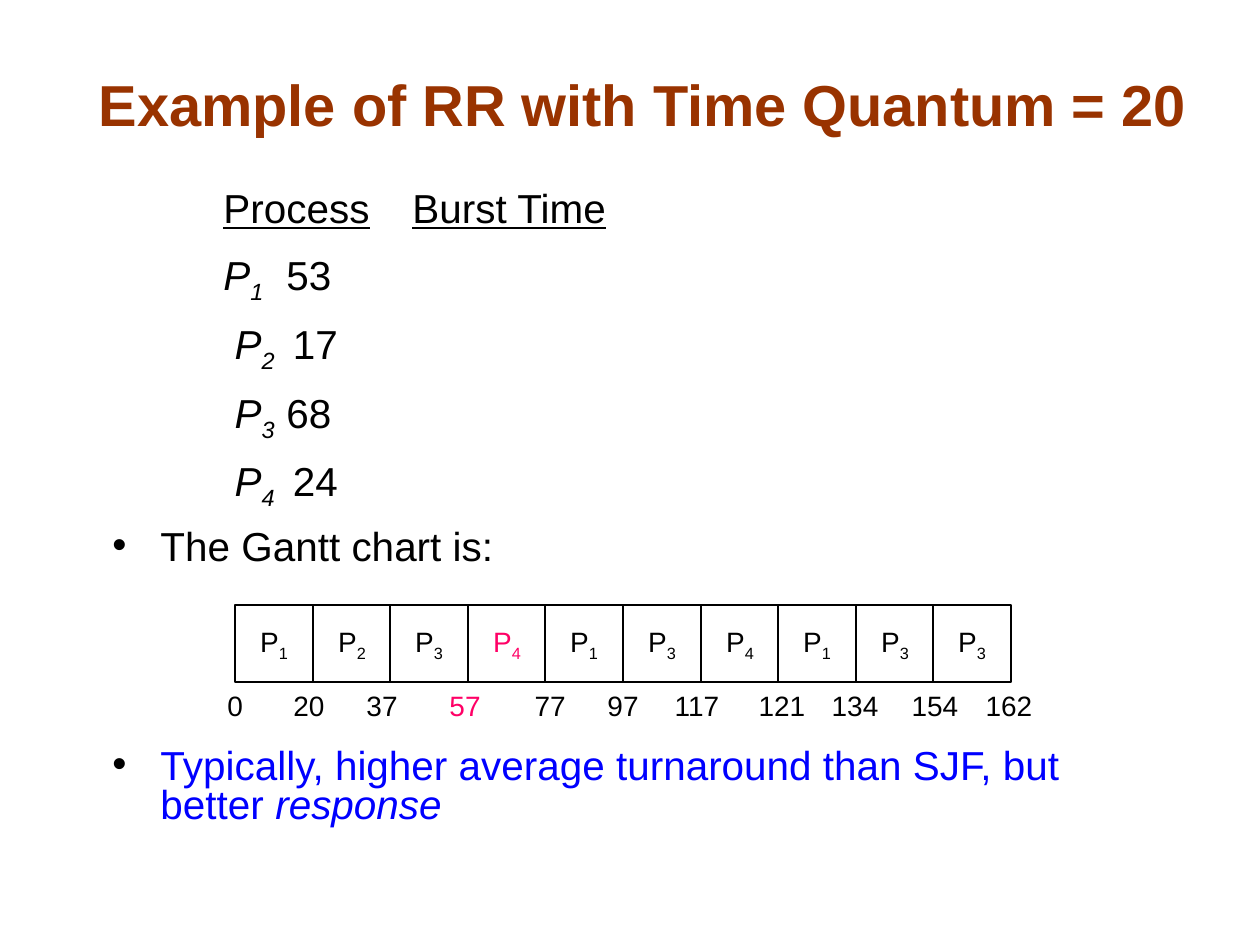
"""Build the round-robin scheduling slide with its burst times and Gantt chart."""

from dataclasses import dataclass

import lxml.etree
import pptx
import pptx.dml.color
import pptx.enum.shapes
import pptx.enum.text
import pptx.oxml.ns
import pptx.util

PX = 914400 // 126


@dataclass(frozen=True)
class Theme:
    font: str = "Arial"
    title: str = "993300"
    ink: str = "000000"
    paper: str = "FFFFFF"
    accent: str = "FF0066"
    remark: str = "0000FF"
    title_size: float = 33
    body_size: float = 23.1
    chart_size: float = 16
    border: float = 0.75


THEME = Theme()


@dataclass(frozen=True)
class Piece:
    text: str
    color: str = THEME.ink
    bold: bool = False
    italic: bool = False
    underline: bool = False
    subscript: bool = False


@dataclass(frozen=True)
class Line:
    pieces: tuple[Piece, ...]
    space_before: int = 14
    bullet: bool = False


@dataclass(frozen=True)
class Burst:
    lead: str
    process: str
    gap: str
    time: str


@dataclass(frozen=True)
class Slice:
    process: str
    color: str = THEME.ink


@dataclass(frozen=True)
class Tick:
    time: str
    center: int
    color: str = THEME.ink


BURSTS = (
    Burst("\t\t", "1", "\t", "53"),
    Burst("\t\t ", "2", "\t ", "17"),
    Burst("\t\t ", "3", "\t", "68"),
    Burst("\t\t ", "4", "\t ", "24"),
)
SLICES = (
    Slice("1"), Slice("2"), Slice("3"), Slice("4", THEME.accent), Slice("1"),
    Slice("3"), Slice("4"), Slice("1"), Slice("3"), Slice("3"),
)
TICKS = (
    Tick("0", 235), Tick("20", 309), Tick("37", 382), Tick("57", 465, THEME.accent),
    Tick("77", 550), Tick("97", 623), Tick("117", 697), Tick("121", 782),
    Tick("134", 855), Tick("154", 935), Tick("162", 1009),
)
HEADER = Line((
    Piece("\t\t"), Piece("Process", underline=True),
    Piece("\t"), Piece("Burst Time", underline=True),
), space_before=0)
CHART_INTRO = Line((Piece("The Gantt chart is:"),), bullet=True)
REMARK = Line((
    Piece("Typically, higher average turnaround than SJF, but better ", THEME.remark),
    Piece("response", THEME.remark, italic=True),
), space_before=103, bullet=True)


def rgb(color: str) -> pptx.dml.color.RGBColor:
    return pptx.dml.color.RGBColor.from_string(color)


def px(*lengths: int) -> list[pptx.util.Emu]:
    return [pptx.util.Emu(length * PX) for length in lengths]


def add_pieces(paragraph, pieces: tuple[Piece, ...], size: float) -> None:
    for piece in pieces:
        run = paragraph.add_run()
        run.text = piece.text
        run.font.name = THEME.font
        run.font.size = pptx.util.Pt(size)
        run.font.color.rgb = rgb(piece.color)
        run.font.bold = piece.bold
        run.font.italic = piece.italic
        run.font.underline = piece.underline
        if piece.subscript:
            run.font._element.set("baseline", "-25000")


def add_bullet(properties) -> None:
    bullet_color = lxml.etree.SubElement(properties, pptx.oxml.ns.qn("a:buClr"))
    lxml.etree.SubElement(bullet_color, pptx.oxml.ns.qn("a:srgbClr"), val=THEME.ink)
    lxml.etree.SubElement(properties, pptx.oxml.ns.qn("a:buFont"), typeface=THEME.font)
    lxml.etree.SubElement(properties, pptx.oxml.ns.qn("a:buChar"), char="•")


def add_centered(frame, pieces: tuple[Piece, ...], size: float) -> None:
    paragraph = frame.paragraphs[0]
    paragraph.alignment = pptx.enum.text.PP_ALIGN.CENTER
    add_pieces(paragraph, pieces, size)


def draw_title(shapes) -> None:
    frame = shapes.add_textbox(*px(50, 71, 1186, 73)).text_frame
    frame.word_wrap = True
    frame.vertical_anchor = pptx.enum.text.MSO_ANCHOR.BOTTOM
    heading = Piece("Example of RR with Time Quantum = 20", THEME.title, bold=True)
    add_centered(frame, (heading,), THEME.title_size)


def burst_line(burst: Burst) -> Line:
    return Line((
        Piece(burst.lead),
        Piece("P", italic=True),
        Piece(burst.process + burst.gap, italic=True, subscript=True),
        Piece(burst.time),
    ))


def draw_body(shapes, lines: tuple[Line, ...]) -> None:
    frame = shapes.add_textbox(*px(100, 186, 1032, 651)).text_frame
    frame.word_wrap = True
    for index, line in enumerate(lines):
        paragraph = frame.add_paragraph() if index else frame.paragraphs[0]
        properties = paragraph._p.get_or_add_pPr()
        properties.set("marL", str(48 * PX))
        properties.set("indent", str(-48 * PX))
        if line.bullet:
            add_bullet(properties)
        paragraph.line_spacing = 0.8
        paragraph.space_before = pptx.util.Pt(line.space_before)
        add_pieces(paragraph, line.pieces, THEME.body_size)


def draw_slice(shapes, index: int, part: Slice) -> None:
    left = 235 + round(index * 776 / len(SLICES))
    cell = shapes.add_shape(
        pptx.enum.shapes.MSO_SHAPE.RECTANGLE, *px(left, 605, 78, 77))
    cell.shadow.inherit = False
    cell.fill.solid()
    cell.fill.fore_color.rgb = rgb(THEME.paper)
    cell.line.color.rgb = rgb(THEME.ink)
    cell.line.width = pptx.util.Pt(THEME.border)
    cell.text_frame.word_wrap = False
    cell.text_frame.vertical_anchor = pptx.enum.text.MSO_ANCHOR.MIDDLE
    label = (Piece("P", part.color), Piece(part.process, part.color, subscript=True))
    add_centered(cell.text_frame, label, THEME.chart_size)


def draw_tick(shapes, tick: Tick) -> None:
    width = 24 + 16 * len(tick.time)
    frame = shapes.add_textbox(
        *px(tick.center - width // 2, 682, width, 46)).text_frame
    frame.word_wrap = False
    frame.vertical_anchor = pptx.enum.text.MSO_ANCHOR.MIDDLE
    add_centered(frame, (Piece(tick.time, tick.color),), THEME.chart_size)


def main() -> None:
    deck = pptx.Presentation()
    deck.slide_width, deck.slide_height = px(1260, 945)
    slide = deck.slides.add_slide(deck.slide_layouts[6])
    draw_title(slide.shapes)
    draw_body(slide.shapes, (HEADER, *map(burst_line, BURSTS), CHART_INTRO, REMARK))
    gantt = slide.shapes.add_group_shape().shapes
    for index, part in enumerate(SLICES):
        draw_slice(gantt, index, part)
    for tick in TICKS:
        draw_tick(gantt, tick)
    deck.save("out.pptx")


if __name__ == "__main__":
    main()
